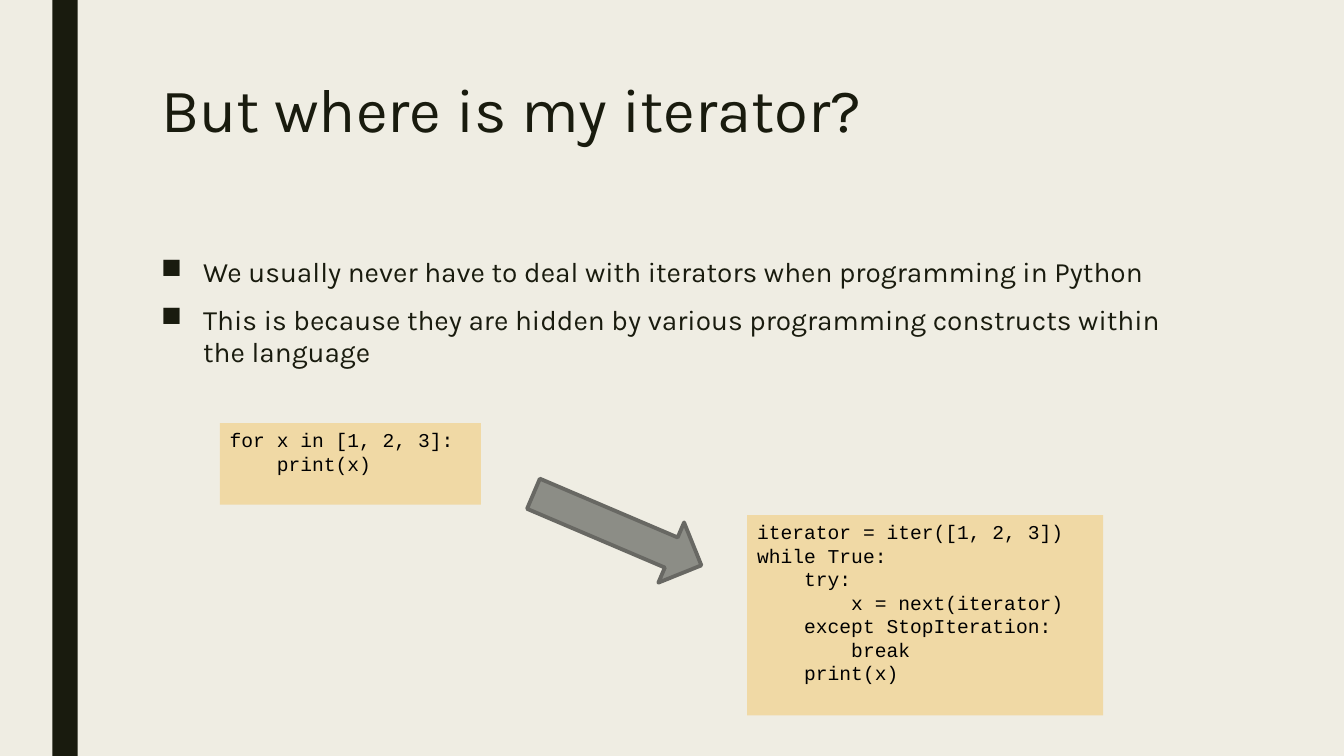
from lxml import etree
from pptx import Presentation
from pptx import util as u
from pptx.dml import color
from pptx.enum import shapes, text
from pptx.oxml import ns

# Content
TITLE = "But where is my iterator?"
POINTS = [
    "We usually never have to deal with iterators when programming in Python",
    "This is because they are hidden by various programming constructs within the language",
]
FOR_LOOP = """for x in [1, 2, 3]:
    print(x)"""
WHILE_LOOP = """iterator = iter([1, 2, 3])
while True:
    try:
        x = next(iterator)
    except StopIteration:
        break
    print(x)"""

# Places in cm: left, top, width, height
SLIDE = (33.87, 19.05)
BAR = (1.32, 0, 0.64, SLIDE[1])
TITLE_BOX = (3.81, 1.9, 26.67, 4.11)
POINTS_BOX = (3.81, 6.35, 26.67, 9.96)
ARROW = (13.26, 12.52, 4.6, 1.65)
CODE_BOXES = [
    (WHILE_LOOP, (18.83, 12.98, 8.97, 5.05)),
    (FOR_LOOP, (5.54, 10.66, 6.58, 2.06)),
]
BULLET_INDENT = 1.06

INK, PAPER, SAND = "191B0E", "EFEDE3", "F0D9A5"


def rgb(value):
    return color.RGBColor.from_string(value)


def place(box):
    return [u.Cm(length) for length in box]


def add_filled(kind, box, fill):
    shape = slide.shapes.add_shape(kind, *place(box))
    shape.shadow.inherit = False
    shape.fill.solid()
    shape.fill.fore_color.rgb = rgb(fill)
    shape.line.fill.background()
    return shape


def write(shape, wording, font, size, ink, spacing=1.0):
    frame = shape.text_frame
    frame.text = wording
    frame.word_wrap = True
    frame.vertical_anchor = text.MSO_ANCHOR.TOP
    for paragraph in frame.paragraphs:
        paragraph.alignment = text.PP_ALIGN.LEFT
        paragraph.line_spacing = spacing
        for run in paragraph.runs:
            run.font.name = font
            run.font.size = u.Pt(size)
            run.font.color.rgb = rgb(ink)
    return frame.paragraphs


def add_bullet(paragraph):
    properties = paragraph._p.get_or_add_pPr()
    indent = u.Cm(BULLET_INDENT)
    properties.set("marL", str(indent))
    properties.set("indent", str(-indent))
    etree.SubElement(properties, ns.qn("a:buChar")).set("char", "■")


prs = Presentation()
prs.slide_width, prs.slide_height = place(SLIDE)
slide = prs.slides.add_slide(prs.slide_layouts[6])

# Background and side bar
slide.background.fill.solid()
slide.background.fill.fore_color.rgb = rgb(PAPER)
add_filled(shapes.MSO_SHAPE.RECTANGLE, BAR, INK)

# Title
title = slide.shapes.add_textbox(*place(TITLE_BOX))
write(title, TITLE, "Karla", 44, INK, 0.89)

# Bullet points
points = slide.shapes.add_textbox(*place(POINTS_BOX))
for point in write(points, "\n".join(POINTS), "Karla", 20, INK, 0.94):
    point.space_before, point.space_after = u.Pt(10), u.Pt(2)
    add_bullet(point)

# Code samples
for code, box in CODE_BOXES:
    sample = add_filled(shapes.MSO_SHAPE.RECTANGLE, box, SAND)
    write(sample, code, "Courier New", 14, "000000")

# Arrow from the for loop to its expanded form
arrow = add_filled(shapes.MSO_SHAPE.RIGHT_ARROW, ARROW, "8C8D86")
arrow.rotation = 23.1
arrow.line.color.rgb = rgb("686863")
arrow.line.width = u.Pt(2.75)

prs.save("out.pptx")
